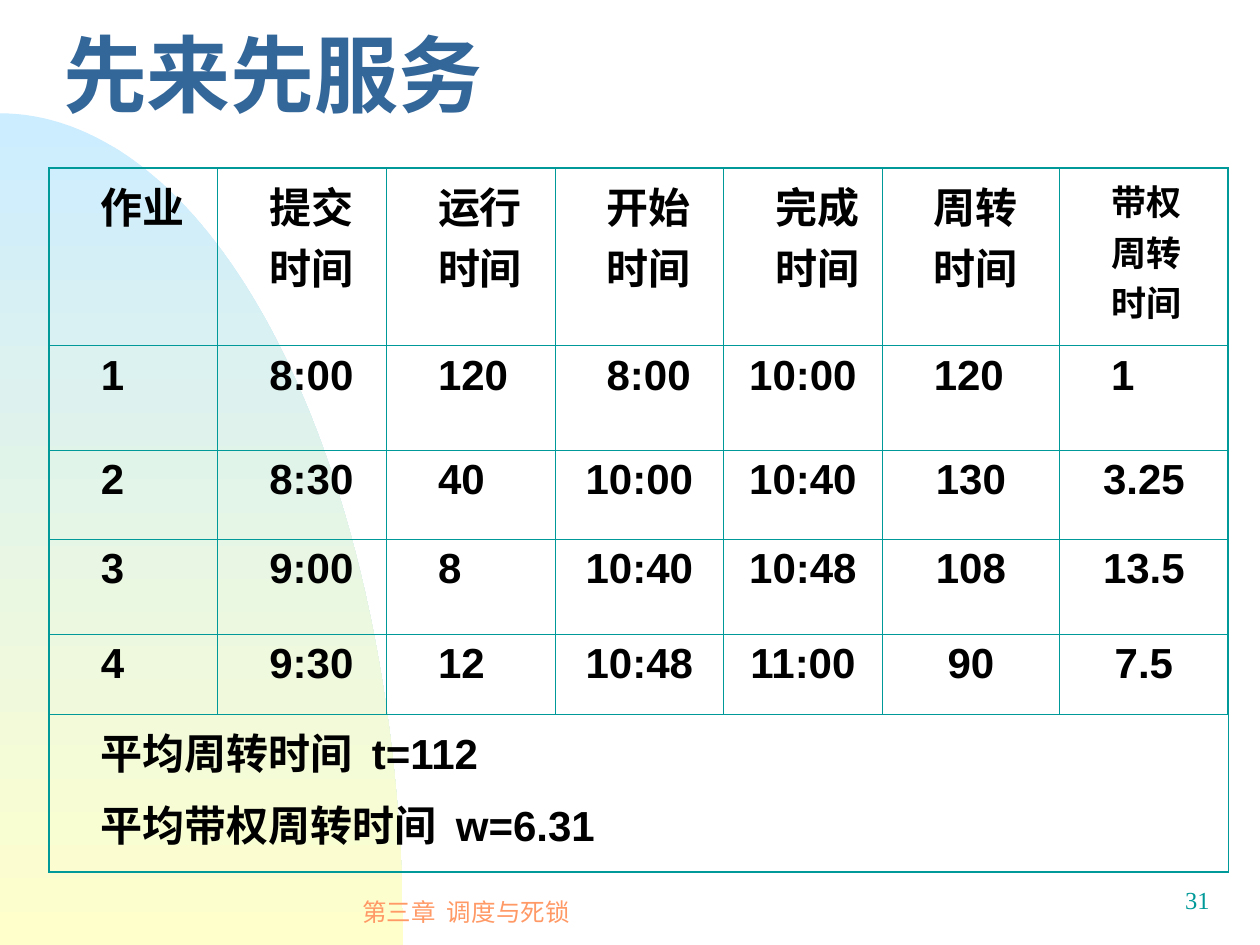
import math
from dataclasses import dataclass

from lxml import etree
from pptx import Presentation
from pptx import util as u
from pptx.dml.color import RGBColor
from pptx.enum import text
from pptx.oxml.ns import qn


@dataclass(frozen=True)
class Theme:
    title: str = "336699"
    body: str = "000000"
    accent: str = "009999"
    footer: str = "FF9966"
    sky: str = "CCECFF"
    sand: str = "FFFFCC"
    title_font: str = "Arial Narrow"
    body_font: str = "Arial"
    number_font: str = "Times New Roman"
    title_size: int = 48
    body_size: int = 24
    small_size: int = 20
    footer_size: int = 14
    thin: float = 0.45
    thick: float = 1.08


THEME = Theme()
WIDTH, HEIGHT = u.Inches(10), u.Inches(7.5)
INDENT = u.Inches(0.31)

# Shares of the table's width and height, as weights
COLUMNS = [1.34, 1.34, 1.34, 1.34, 1.26, 1.41, 1.34]
ROWS = [1.41, 0.83, 0.71, 0.75, 0.64, 1.25]
JOBS = [
    ["作业", "提交时间", "运行时间", "开始时间", "完成时间", "周转时间", "带权周转时间"],
    ["1", "8:00", "120", "8:00", "10:00", "120", "1"],
    ["2", "8:30", "40", "10:00", "10:40", "130", "3.25"],
    ["3", "9:00", "8", "10:40", "10:48", "108", "13.5"],
    ["4", "9:30", "12", "10:48", "11:00", "90", "7.5"],
]
AVERAGES = "平均周转时间  t=112\n平均带权周转时间  w=6.31"


def place(box):
    """Turn shares of the slide into lengths."""
    left, top, width, height = box
    return [u.Emu(int(share * side)) for share, side in
            ((left, WIDTH), (top, HEIGHT), (width, WIDTH), (height, HEIGHT))]


def style(para, font, size, color, bold=False):
    for span in para.runs:
        span.font.name = font
        span.font.size = u.Pt(size)
        span.font.bold = bold
        span.font.color.rgb = RGBColor.from_string(color)


def add_arc(page, box, steps=72):
    """Quarter ellipse rising from the lower left corner."""
    left, top, width, height = place(box)
    angles = [math.pi / 2 * step / steps for step in range(steps + 1)]
    curve = [(left + width * math.sin(a), top + height * (1 - math.cos(a)))
             for a in angles]
    builder = page.shapes.build_freeform(*curve[0])
    builder.add_line_segments(curve[1:] + [(left, top + height)], close=True)
    arc = builder.convert_to_shape()
    arc.shadow.inherit = False
    arc.line.fill.background()
    arc.fill.gradient()
    arc.fill.gradient_angle = 270
    for stop, color in zip(arc.fill.gradient_stops, (THEME.sky, THEME.sand)):
        stop.color.rgb = RGBColor.from_string(color)


def add_title(page, box, words):
    title = page.shapes.title
    title.left, title.top, title.width, title.height = place(box)
    frame = title.text_frame
    frame.text = words
    frame.auto_size = text.MSO_AUTO_SIZE.NONE
    frame.vertical_anchor = text.MSO_ANCHOR.MIDDLE
    para = frame.paragraphs[0]
    para.alignment = text.PP_ALIGN.LEFT
    para.line_spacing = 0.7
    style(para, THEME.title_font, THEME.title_size, THEME.title, bold=True)


def add_footer(page, box, words, font, color, align, anchor, wrap):
    frame = page.shapes.add_textbox(*place(box)).text_frame
    frame.word_wrap = wrap
    frame.vertical_anchor = anchor
    frame.text = words
    para = frame.paragraphs[0]
    para.alignment = align
    style(para, font, THEME.footer_size, color)


def set_borders(cell, row, column):
    """Thick lines on the table's edge, thin ones inside."""
    outer = {"lnL": column == 0, "lnR": column == len(COLUMNS) - 1,
             "lnT": row == 0, "lnB": row == len(ROWS) - 1}
    properties = cell._tc.get_or_add_tcPr()
    for side, is_outer in outer.items():
        weight = THEME.thick if is_outer else THEME.thin
        line = etree.SubElement(properties, qn("a:" + side), w=str(u.Pt(weight)))
        fill = etree.SubElement(line, qn("a:solidFill"))
        etree.SubElement(fill, qn("a:srgbClr"), val=THEME.accent)


def fill_cell(cell, words, size, centred):
    cell.text_frame.text = words
    for index, para in enumerate(cell.text_frame.paragraphs):
        properties = para._p.get_or_add_pPr()
        properties.set("marL", str(INDENT))
        properties.set("indent", str(-INDENT if centred else 0))
        para.alignment = text.PP_ALIGN.CENTER if centred else text.PP_ALIGN.LEFT
        if index:
            para.space_before = u.Pt(6)
        style(para, THEME.body_font, size, THEME.body, bold=True)


def is_centred(row, column):
    return column == 4 if row == 1 else row > 1 and column >= 3


def add_schedule(page, box):
    left, top, width, height = place(box)
    table = page.shapes.add_table(len(ROWS), len(COLUMNS), left, top,
                                  width, height).table
    table.first_row = table.horz_banding = False
    for column, weight in zip(table.columns, COLUMNS):
        column.width = int(width * weight / sum(COLUMNS))
    for row, weight in zip(table.rows, ROWS):
        row.height = int(height * weight / sum(ROWS))

    # Averages span the whole last row
    last_row, last_column = len(ROWS) - 1, len(COLUMNS) - 1
    table.cell(last_row, 0).merge(table.cell(last_row, last_column))

    for row in range(len(ROWS)):
        for column in range(len(COLUMNS)):
            cell = table.cell(row, column)
            set_borders(cell, row, column)
            cell.fill.background()
            if row < last_row:
                is_long = row == 0 and column == last_column
                size = THEME.small_size if is_long else THEME.body_size
                fill_cell(cell, JOBS[row][column], size, is_centred(row, column))
    fill_cell(table.cell(last_row, 0), AVERAGES, THEME.body_size, False)


def main():
    deck = Presentation()
    deck.slide_width, deck.slide_height = WIDTH, HEIGHT
    page = deck.slides.add_slide(deck.slide_layouts[5])

    # Background, then title and table
    add_arc(page, (0, 0.12, 0.32, 0.88))
    add_title(page, (0.04, 0.02, 0.94, 0.14), "先来先服务")
    add_schedule(page, (0.039, 0.178, 0.936, 0.745))

    # Footer
    add_footer(page, (0.21, 0.93, 0.32, 0.07), "第三章  调度与死锁", THEME.body_font,
               THEME.footer, text.PP_ALIGN.CENTER, text.MSO_ANCHOR.MIDDLE, False)
    add_footer(page, (0.76, 0.93, 0.21, 0.07), "31", THEME.number_font,
               THEME.accent, text.PP_ALIGN.RIGHT, text.MSO_ANCHOR.TOP, True)
    deck.save("out.pptx")


if __name__ == "__main__":
    main()
